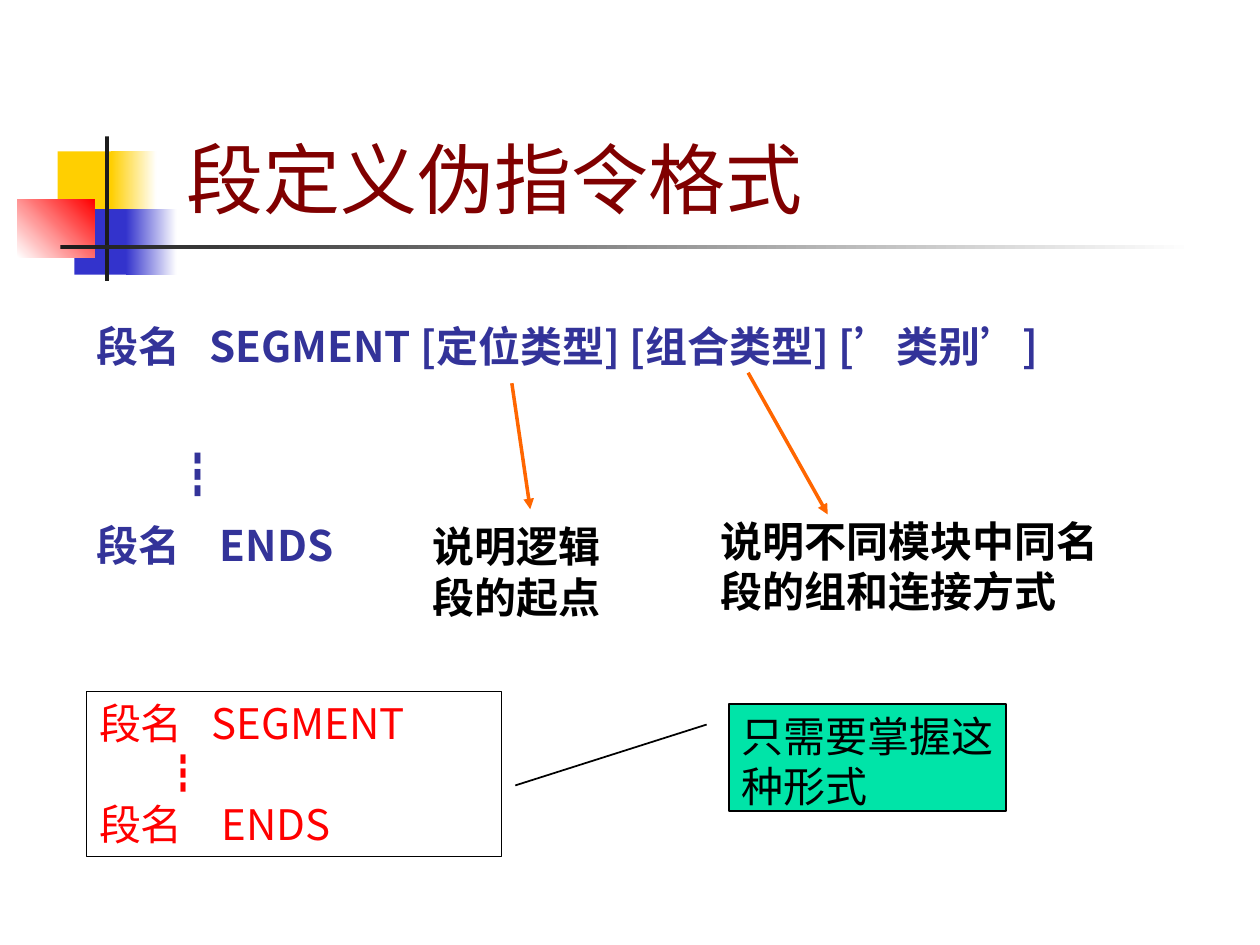
from dataclasses import dataclass

from lxml.etree import SubElement
from pptx import Presentation
from pptx.dml.color import RGBColor
from pptx.enum.shapes import MSO_CONNECTOR as Link, MSO_SHAPE as Preset
from pptx.enum.text import MSO_ANCHOR as Anchor
from pptx.oxml.ns import qn
from pptx.util import Pt


@dataclass(frozen=True)
class Theme:
    title: str = "800000"
    body: str = "333399"
    note: str = "000000"
    simple: str = "FF0000"
    arrow: str = "FF6600"
    callout: str = "00E4A8"
    yellow: str = "FFCF01"
    blue: str = "3333CC"
    dark: str = "1C1C1C"
    white: str = "FFFFFF"
    title_size: int = 44
    dots_size: int = 28
    text_size: int = 24
    title_font: str = "Roboto"
    code_font: str = "Noto Sans CJK SC"
    note_font: str = "Times New Roman"


THEME = Theme()
DECOR = [
    ((33, 86.5, 35, 37.5), [THEME.yellow], 0),
    ((63.5, 86.5, 26, 37.5), [THEME.yellow, THEME.white], 0),
    ((42.5, 119.5, 33, 37.5), [THEME.blue], 0),
    ((72, 119.5, 29, 37.5), [THEME.blue, THEME.white], 0),
    ((10, 114, 44, 33), [THEME.white, THEME.simple], 45),
    ((60, 78, 2.3, 82.5), [THEME.dark], 0),
    ((34.5, 140, 648, 2.5), [THEME.dark, THEME.white], 0),
]
TITLE = "段定义伪指令格式"
QUOTE = "’"
FULL_FORM = [
    dict(spans=["段名\tSEGMENT [定位类型] [组合类型] [", QUOTE, "类别", QUOTE, "]"],
         tab=64.5, before=5, after=33.5, line=1.1),
    dict(spans=["┇"], indent=44, size=THEME.dots_size, before=5.5, after=1.5, line=1.1),
    dict(spans=["段名\tENDS"], tab=70.5, before=5, line=1.1),
]
SIMPLE_FORM = [
    dict(spans=["段名\tSEGMENT"], tab=64.5),
    dict(spans=["┇"], indent=36.5),
    dict(spans=["段名\tENDS"], tab=70),
]
NOTES = [
    ("说明逻辑段的起点", (240, 294, 132, 65), (292.5, 219, 303, 291)),
    ("说明不同模块中同名段的组和连接方式", (404.5, 291, 241, 65), (427.5, 213, 473, 294)),
]
ADVICE = "只需要掌握这种形式"
CALLOUT_TAIL = (0.19, -0.08, 0.76, -0.77)


def color(value):
    """Return the colour object for a hex string."""
    return RGBColor.from_string(value)


def add_preset(page, preset, area, colors=(), angle=0, outline=None):
    """Add a shape with a plain, graded or empty fill."""
    shape = page.shapes.add_shape(preset, *map(Pt, area))
    shape.shadow.inherit = False
    if len(colors) == 2:
        shape.fill.gradient()
        shape.fill.gradient_angle = angle
        for stop, value in zip(shape.fill.gradient_stops, colors):
            stop.color.rgb = color(value)
    elif colors:
        shape.fill.solid()
        shape.fill.fore_color.rgb = color(colors[0])
    else:
        shape.fill.background()
    if outline:
        shape.line.color.rgb = color(THEME.note)
        shape.line.width = Pt(outline)
    else:
        shape.line.fill.background()
    return shape


def write(shape, paras, font, ink, bold=False, anchor=Anchor.TOP):
    """Fill a shape with left-aligned paragraphs."""
    frame = shape.text_frame
    frame.word_wrap = True
    frame.vertical_anchor = anchor
    for index, item in enumerate(paras):
        para = frame.add_paragraph() if index else frame.paragraphs[0]
        para.alignment = 1
        para.font.size = Pt(item.get("size", THEME.text_size))
        para.font.bold = bold
        para.font.color.rgb = color(ink)
        para.space_before = Pt(item.get("before", 0))
        para.space_after = Pt(item.get("after", 0))
        para.line_spacing = item.get("line", 1.0)
        props = para._p.get_or_add_pPr()
        if "indent" in item:
            props.set("marL", str(Pt(item["indent"])))
        if "tab" in item:
            tabs = props.makeelement(qn("a:tabLst"))
            SubElement(tabs, qn("a:tab"), pos=str(Pt(item["tab"])), algn="l")
            props.find(qn("a:defRPr")).addprevious(tabs)
        for words in item["spans"]:
            span = para.add_run()
            span.text = words
            span.font.name = THEME.note_font if words == QUOTE else font


def add_text(page, area, *args, **options):
    """Add a text box and write into it."""
    write(page.shapes.add_textbox(*map(Pt, area)), *args, **options)


def add_arrow(page, ends):
    """Add an arrow with a triangular head."""
    arrow = page.shapes.add_connector(Link.STRAIGHT, *map(Pt, ends))
    arrow.line.color.rgb = color(THEME.arrow)
    arrow.line.width = Pt(2)
    SubElement(arrow.line._get_or_add_ln(), qn("a:tailEnd"), type="triangle")
    SubElement(arrow._element.spPr, qn("a:effectLst"))


def main():
    """Build the slide on the segment definition directive."""
    deck = Presentation()
    deck.slide_width, deck.slide_height = Pt(720), Pt(540)
    page = deck.slides.add_slide(deck.slide_layouts[6])
    for area, colors, angle in DECOR:
        add_preset(page, Preset.RECTANGLE, area, colors, angle)
    add_text(page, (99.5, 16.5, 420, 115), [dict(spans=[TITLE], size=THEME.title_size)],
             THEME.title_font, THEME.title, anchor=Anchor.BOTTOM)
    add_text(page, (48, 176.5, 630, 182), FULL_FORM, THEME.code_font, THEME.body, bold=True)
    for words, area, ends in NOTES:
        add_text(page, area, [dict(spans=[words], before=12)],
                 THEME.note_font, THEME.note, bold=True)
        add_arrow(page, ends)
    simple = add_preset(page, Preset.RECTANGLE, (49.5, 395, 237, 94.5), outline=0.75)
    write(simple, SIMPLE_FORM, THEME.code_font, THEME.simple)
    callout = add_preset(page, Preset.LINE_CALLOUT_1, (416.5, 402.5, 158.5, 61),
                         [THEME.callout], outline=1)
    for index, value in enumerate(CALLOUT_TAIL):
        callout.adjustments[index] = value
    write(callout, [dict(spans=[ADVICE])], THEME.note_font, THEME.note)
    deck.save("out.pptx")


if __name__ == "__main__":
    main()
